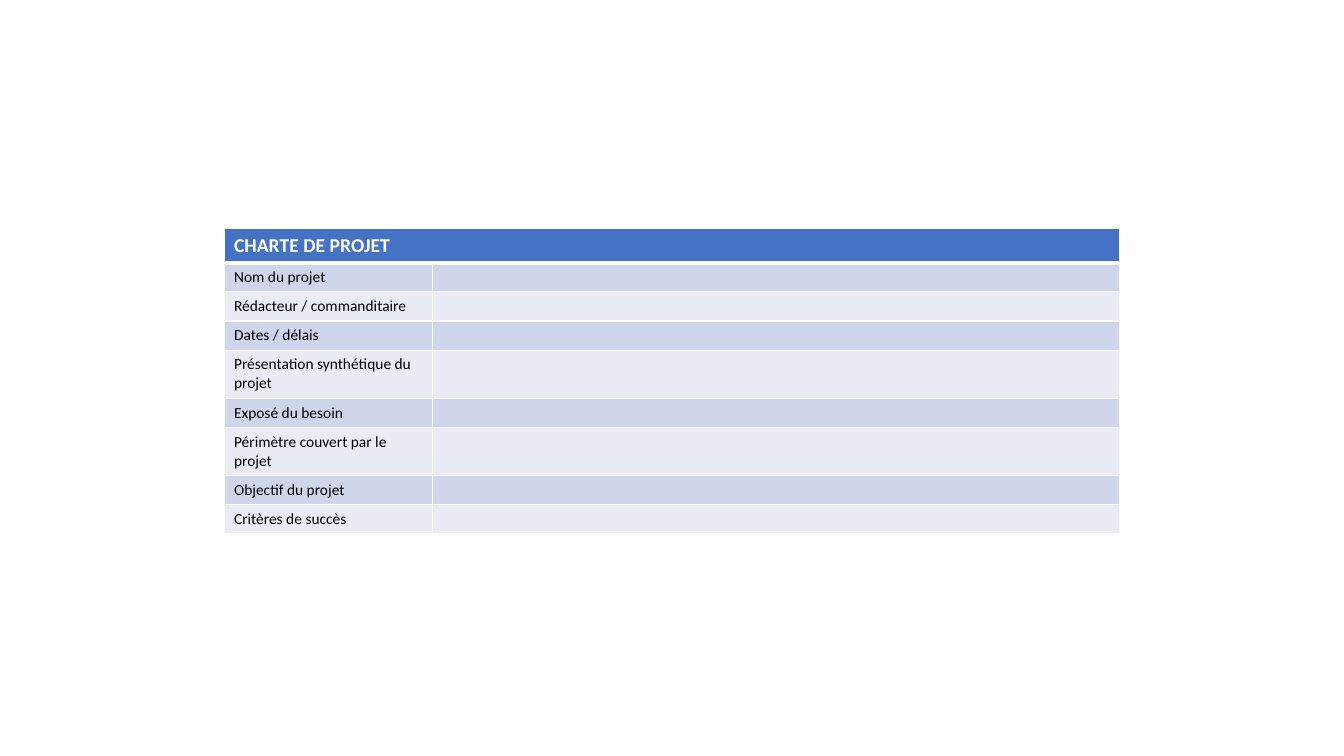
"""Build a project charter slide with one table."""
from dataclasses import dataclass

from lxml.etree import SubElement
from pptx import Presentation
from pptx.dml.color import RGBColor as Color
from pptx.oxml.ns import qn
from pptx.table import Table, _Cell as Cell
from pptx.util import Length, Pt


@dataclass(frozen=True)
class Theme:
    """Colours and type sizes of the slide."""
    font: str = "Calibri"
    header: str = "4472C4"
    bands: tuple[str, str] = ("CFD5EA", "E9EBF5")
    light: str = "FFFFFF"
    dark: str = "000000"
    header_size: Length = Pt(14)
    body_size: Length = Pt(11)


@dataclass(frozen=True)
class CharterRow:
    """One labelled row of the charter."""
    label: str
    height: Length = Pt(20.65)


THEME = Theme()
TALL = Pt(34.3)
HEADER = CharterRow("CHARTE DE PROJET", Pt(24))
ROWS = (
    CharterRow("Nom du projet"),
    CharterRow("Rédacteur / commanditaire"),
    CharterRow("Dates / délais"),
    CharterRow("Présentation synthétique du projet", TALL),
    CharterRow("Exposé du besoin"),
    CharterRow("Périmètre couvert par le projet", TALL),
    CharterRow("Objectif du projet"),
    CharterRow("Critères de succès"),
)
COLUMN_WIDTHS = (Pt(148.7), Pt(491.3))
LEFT, TOP = Pt(160), Pt(163.4)


def write_text(cell: Cell, text: str, *, size: Length, color: str, bold: bool = False) -> None:
    """Write formatted text, or size the empty line of a blank cell."""
    paragraph = cell.text_frame.paragraphs[0]
    if not text:
        SubElement(paragraph._p, qn("a:endParaRPr"), sz=str(size.centipoints))
        return
    run = paragraph.add_run()
    run.text = text
    run.font.name = THEME.font
    run.font.size = size
    run.font.bold = bold
    run.font.color.rgb = Color.from_string(color)


def style_cell(cell: Cell, fill: str, top: Length = Pt(1), bottom: Length = Pt(1)) -> None:
    """Give a cell its white borders and its fill."""
    properties = cell._tc.get_or_add_tcPr()
    for side, width in (("L", Pt(1)), ("R", Pt(1)), ("T", top), ("B", bottom)):
        line = SubElement(properties, qn(f"a:ln{side}"), w=str(width))
        line_fill = SubElement(line, qn("a:solidFill"))
        SubElement(line_fill, qn("a:srgbClr"), val=THEME.light)
    cell.fill.solid()
    cell.fill.fore_color.rgb = Color.from_string(fill)


def fill_header(table: Table) -> None:
    """Merge and fill the header row."""
    table.rows[0].height = HEADER.height
    for cell in table.rows[0].cells:
        style_cell(cell, THEME.header, bottom=Pt(3))
    title = table.cell(0, 0)
    title.merge(table.cell(0, 1))
    write_text(title, HEADER.label, size=THEME.header_size, color=THEME.light, bold=True)


def fill_body(table: Table) -> None:
    """Fill the banded rows, leaving the answers blank."""
    for index, row in enumerate(ROWS, start=1):
        table.rows[index].height = row.height
        for cell, text in zip(table.rows[index].cells, (row.label, "")):
            top = Pt(3) if index == 1 else Pt(1)
            style_cell(cell, THEME.bands[(index - 1) % 2], top=top)
            write_text(cell, text, size=THEME.body_size, color=THEME.dark)


def main() -> None:
    """Create and save the presentation."""
    presentation = Presentation()
    presentation.slide_width, presentation.slide_height = Pt(960), Pt(540)
    slide = presentation.slides.add_slide(presentation.slide_layouts[6])
    height = sum(row.height for row in (HEADER, *ROWS))
    frame = slide.shapes.add_table(
        len(ROWS) + 1, len(COLUMN_WIDTHS), LEFT, TOP, sum(COLUMN_WIDTHS), height)
    for column, width in zip(frame.table.columns, COLUMN_WIDTHS):
        column.width = width
    fill_header(frame.table)
    fill_body(frame.table)
    presentation.save("out.pptx")


if __name__ == "__main__":
    main()
